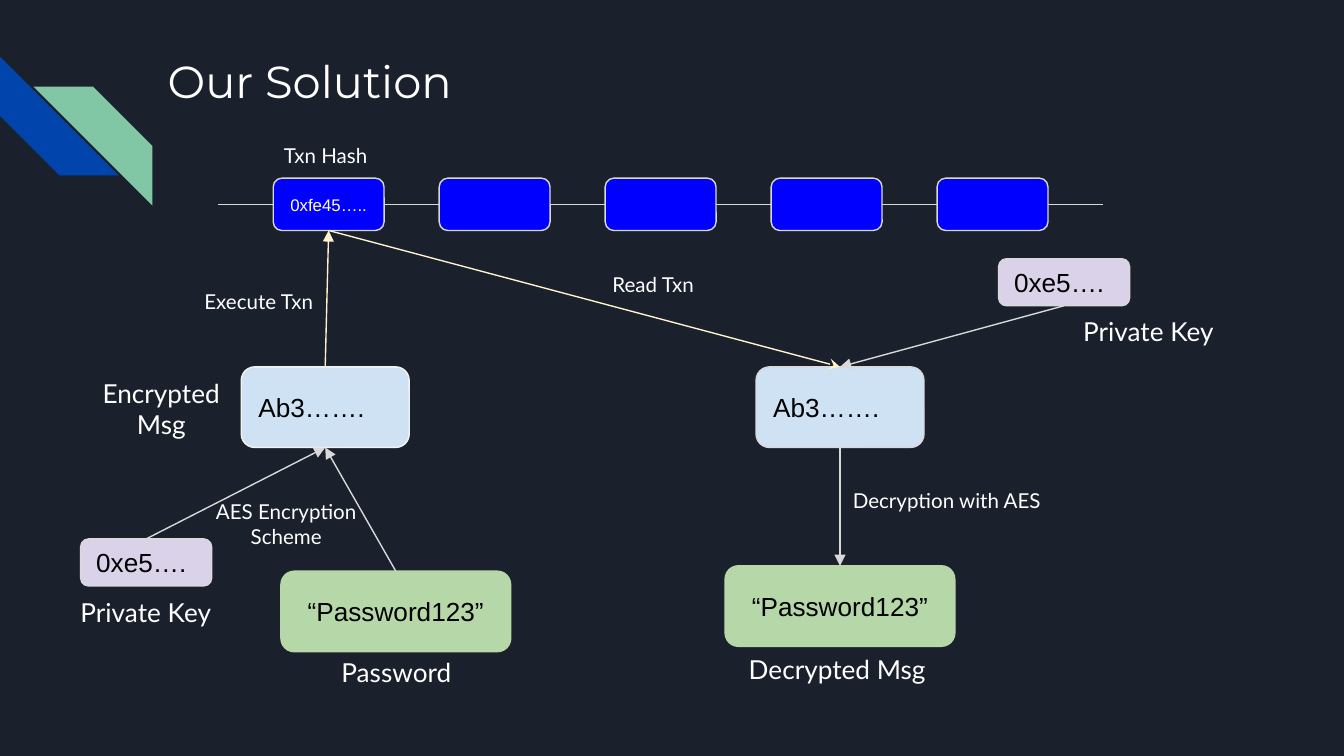
from pptx import Presentation
from pptx.dml.color import RGBColor
from pptx.enum.shapes import MSO_CONNECTOR, MSO_SHAPE
from pptx.enum.text import MSO_ANCHOR, PP_ALIGN
from pptx.oxml.ns import qn
from pptx.util import Inches, Pt
from lxml.etree import SubElement

HUE = {
    "night": "1B212C", "navy": "0145AC", "mint": "82C7A5",
    "white": "FFFFFF", "black": "000000", "blue": "0000FF",
    "sky": "CFE2F3", "leaf": "B6D7A8", "lilac": "D9D2E9",
    "grey": "D9D9D9", "pale": "F3F3F3", "cream": "FFF2CC",
}
RGB = {name: RGBColor.from_string(code) for name, code in HUE.items()}
TOP, LEFT, BASE, RIGHT = range(4)  # connection sites of a box

deck = Presentation()
deck.slide_width = Inches(10)
deck.slide_height = deck.slide_width * 9 // 16
CELL = deck.slide_width / 100  # square grid, 100 columns wide
slide = deck.slides.add_slide(deck.slide_layouts[6])
slide.background.fill.solid()
slide.background.fill.fore_color.rgb = RGB["night"]
shapes = slide.shapes


def write(shape, words, face, size, hue, align, anchor):
    frame = shape.text_frame
    pad = {"margin_" + side: int(CELL) for side in ("left", "top", "right", "bottom")}
    for key, val in {**pad, "word_wrap": True, "vertical_anchor": anchor}.items():
        setattr(frame, key, val)
    line = frame.paragraphs[0]
    line.alignment = align
    run = line.add_run()
    run.text = words
    for key, val in {"name": face, "size": Pt(size)}.items():
        setattr(run.font, key, val)
    run.font.color.rgb = RGB[hue]


def link(hue, start, end, tip=None, spot=(0, 0, 0, 0)):
    """Draw a line at spot; an end given as (box, site) is glued there."""
    wire = shapes.add_connector(MSO_CONNECTOR.STRAIGHT, *(int(n * CELL) for n in spot))
    if start:
        wire.begin_connect(*start)
    if end:
        wire.end_connect(*end)
    wire.line.width = Pt(0.75)
    wire.line.color.rgb = RGB[hue]
    props = wire._element.spPr
    if tip:
        SubElement(props.find(qn("a:ln")), qn("a:tailEnd"), type=tip)
    SubElement(props, qn("a:effectLst"))


# Corner stripes
for x, y, hue, turn, flip in ((0, 4.2, "navy", 270, "0"), (2.5, 6.45, "mint", 0, "1")):
    area = (int(n * CELL) for n in (x, y, 8.85, 8.85))
    stripe = shapes.add_shape(MSO_SHAPE.DIAGONAL_STRIPE, *area)
    stripe.shadow.inherit = False
    stripe.fill.solid()
    stripe.fill.fore_color.rgb = RGB[hue]
    stripe.line.fill.background()
    stripe.rotation = turn
    stripe._element.spPr.xfrm.set("flipH", flip)

# Boxes: the chain of five blocks, then messages, passwords and keys
STEP, GAP, WIDE = 12.35, 4.1, 8.25
FIRST, MID = 20.33, 15.2
mids, lefts = PP_ALIGN.CENTER, PP_ALIGN.LEFT
plan = {
    ("block", i): (FIRST + i * STEP, 13.25, WIDE, 3.9, "blue", "grey",
                   "" if i else "0xfe45…..", 9, "white", mids)
    for i in range(5)
}
for name, x, y, edge in (("sent", 17.95, 27.3, "pale"), ("read", 56.25, 27.3, "grey")):
    plan[name] = (x, y, 12.5, 6, "sky", edge, "Ab3…….", 14, "black", lefts)
for name, x, y in (("pass", 20.9, 42.5), ("plain", 53.95, 42.1)):
    plan[name] = (x, y, 17.1, 6, "leaf", "leaf", "“Password123”", 14, "black", mids)
for name, x, y in (("lock", 6, 40.1), ("open", 74.3, 19.25)):
    plan[name] = (x, y, 9.75, 3.5, "lilac", "grey", "0xe5….", 14, "black", lefts)

box = {}
for name, (x, y, w, h, fill, edge, words, size, ink, align) in plan.items():
    area = (int(n * CELL) for n in (x, y, w, h))
    item = box[name] = shapes.add_shape(MSO_SHAPE.ROUNDED_RECTANGLE, *area)
    item.shadow.inherit = False
    item.fill.solid()
    item.fill.fore_color.rgb = RGB[fill]
    item.line.color.rgb = RGB[edge]
    item.line.width = Pt(0.75)
    if words:
        write(item, words, "Arial", size, ink, align, MSO_ANCHOR.MIDDLE)

# Chain lines, loose at both far ends
for i in range(6):
    x = FIRST + i * STEP
    link("grey",
         (box["block", i - 1], RIGHT) if i > 0 else None,
         (box["block", i], LEFT) if i < 5 else None,
         spot=(x - GAP, MID, x, MID))

# Arrows
head = ("block", 0)
for hue, start, out, end, into, tip in (
    ("cream", "sent", TOP, head, BASE, "triangle"),
    ("cream", head, BASE, "read", TOP, "stealth"),
    ("grey", "lock", TOP, "sent", BASE, "triangle"),
    ("grey", "pass", TOP, "sent", BASE, "triangle"),
    ("grey", "open", BASE, "read", TOP, "triangle"),
    ("grey", "read", BASE, "plain", TOP, "triangle"),
):
    link(hue, (box[start], out), (box[end], into), tip)

# Title and labels
for words, x, y, w, h, size, face, align in (
    ("Our Solution", 11.5, 3, 77, 10, 24, "Montserrat", lefts),
    ("Txn Hash", 20.15, 9.7, 11.4, 3.9, 11, "Lato", lefts),
    ("Encrypted Msg", 6, 27.05, 12, 6.5, 14, "Lato", mids),
    ("Private Key", 4.6, 43.35, 12.5, 3.5, 14, "Lato", mids),
    ("Private Key", 79.2, 22.45, 12.5, 3.5, 14, "Lato", mids),
    ("Password", 23, 47.85, 13, 3.5, 14, "Lato", mids),
    ("Decrypted Msg", 54.1, 47.65, 16.4, 4.8, 14, "Lato", mids),
    ("AES Encryption Scheme", 13.1, 36.15, 16.4, 3.5, 11, "Lato", mids),
    ("Decryption with AES", 62.25, 35.35, 16.4, 3.5, 11, "Lato", mids),
    ("Execute Txn", 13.8, 20.55, 10.9, 3.5, 11, "Lato", mids),
    ("Read Txn", 44.1, 19.3, 9, 3.5, 11, "Lato", mids),
):
    note = shapes.add_textbox(*(int(n * CELL) for n in (x, y, w, h)))
    write(note, words, face, size, "white", align, MSO_ANCHOR.TOP)

deck.save("out.pptx")
